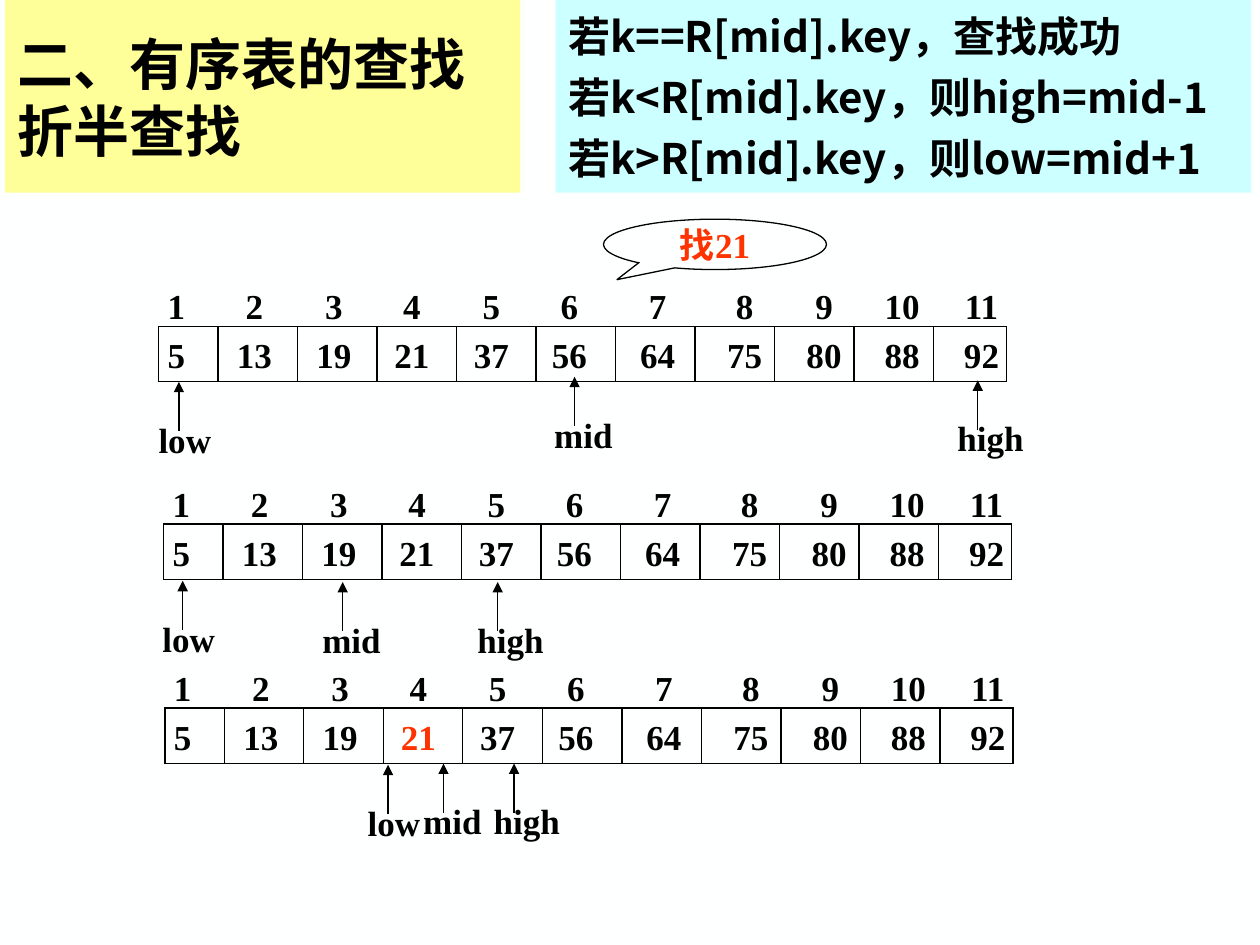
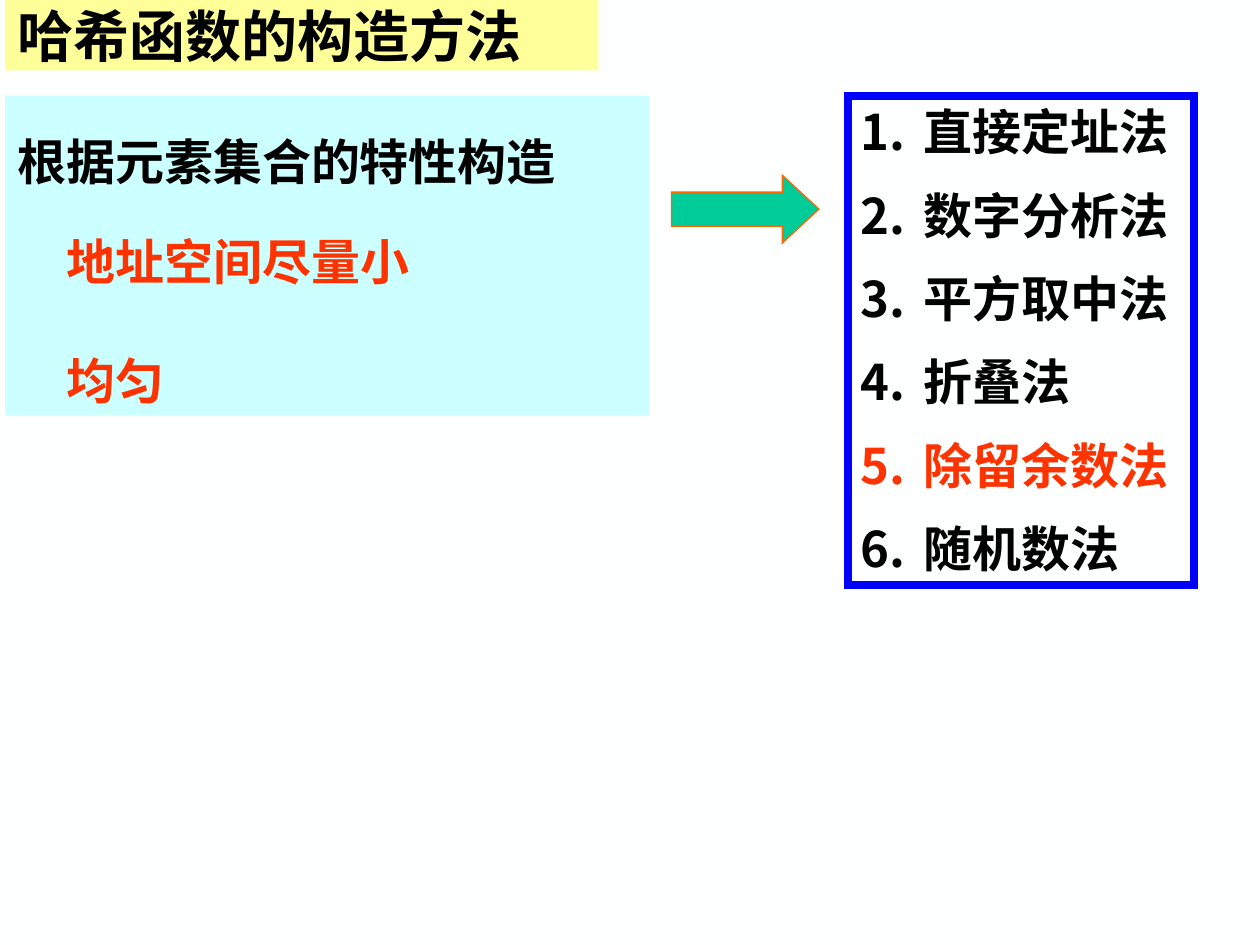
from lxml.etree import SubElement
from pptx import Presentation
from pptx.dml.color import RGBColor
from pptx.enum.shapes import MSO_CONNECTOR as Connector, MSO_SHAPE as Shape
from pptx.enum.text import MSO_ANCHOR as Anchor, PP_ALIGN as Align
from pptx.oxml.ns import qn
from pptx.util import Pt

PX = 9144  # 100 px to the inch

PAPER = RGBColor(0xFE, 0xFF, 0xFF)
BLACK = RGBColor(0x00, 0x00, 0x00)
RED = RGBColor(0xFF, 0x33, 0x00)
YELLOW = RGBColor(0xFF, 0xFF, 0x99)
CYAN = RGBColor(0xCC, 0xFF, 0xFF)
BLUE = RGBColor(0x00, 0x00, 0xFF)
GREEN = RGBColor(0x00, 0xCC, 0x99)
ORANGE = RGBColor(0xFF, 0x66, 0x00)

SANS = "Noto Sans CJK SC"
SERIF = "Times New Roman"

KEYS = [5, 13, 19, 21, 37, 56, 64, 75, 80, 88, 92]
COLUMN_CENTRES = [14, 76, 139, 201, 264, 326, 396, 465, 528, 590, 653]
COLUMN_WIDTH = 50
LABEL_WIDTHS = {"low": 61, "mid": 66, "high": 72}


def px(length):
    return round(length * PX)


def write(paragraph, text, size=20, font=SERIF, color=BLACK, before=0,
          spacing=None, indent=0, align=Align.LEFT, numbered=False):
    paragraph.alignment = align
    paragraph.space_before = Pt(before)
    if spacing:
        paragraph.line_spacing = spacing
    properties = paragraph._p.get_or_add_pPr()
    properties.set("marL", str(px(indent)))
    properties.set("indent", str(px(-indent if numbered else 0)))
    if numbered:
        bullet_color = SubElement(properties, qn("a:buClr"))
        SubElement(bullet_color, qn("a:srgbClr"), val=str(color))
        SubElement(properties, qn("a:buFont"), typeface=font)
        SubElement(properties, qn("a:buAutoNum"), type="arabicPeriod")
    span = paragraph.add_run()
    span.text = text
    span.font.name = font
    span.font.size = Pt(size)
    span.font.bold = True
    span.font.color.rgb = color
    SubElement(span._r.get_or_add_rPr(), qn("a:ea"), typeface=SANS)


class Board:
    def __init__(self):
        self.deck = Presentation()
        self.deck.slide_width, self.deck.slide_height = px(1000), px(750)

    def new_slide(self):
        self.page = self.deck.slides.add_slide(self.deck.slide_layouts[6])
        self.page.background.fill.solid()
        self.page.background.fill.fore_color.rgb = PAPER

    def shape(self, kind, left, top, width, height, fill=None, line=None,
              weight=0.75, adjust=()):
        box = self.page.shapes.add_shape(
            kind, px(left), px(top), px(width), px(height))
        box.shadow.inherit = False
        for number, value in enumerate(adjust):
            box.adjustments[number] = value
        for paint, color in ((box.fill, fill), (box.line.fill, line)):
            if color is None:
                paint.background()
            else:
                paint.solid()
                paint.fore_color.rgb = color
        if line is not None:
            box.line.width = Pt(weight)
            SubElement(box.line._get_or_add_ln(), qn("a:miter"), lim="800000")
        return box

    def text(self, box, *lines, anchor=Anchor.MIDDLE, wrap=True,
             inset=10, right=10, **style):
        """Each line is a text, or a text with its own format."""
        frame = box.text_frame
        frame.word_wrap = wrap
        frame.vertical_anchor = anchor
        frame.margin_left, frame.margin_right = px(inset), px(right)
        frame.margin_top = frame.margin_bottom = px(5)
        for number, line in enumerate(lines):
            text, own = (line, {}) if isinstance(line, str) else line
            paragraph = frame.add_paragraph() if number else frame.paragraphs[0]
            formats = {**style, **own}
            if not number:
                formats["before"] = 0
            write(paragraph, text, **formats)

    def panel(self, left, top, width, height, *lines, fill=None, line=None,
              weight=0.75, **style):
        box = self.shape(Shape.RECTANGLE, left, top, width, height,
                         fill=fill, line=line, weight=weight)
        self.text(box, *lines, **style)

    def title(self, width, height, *lines):
        self.panel(4, 0, width, height, *lines, fill=YELLOW, size=32, font=SANS)

    def label(self, left, top, width, text, **style):
        box = self.page.shapes.add_textbox(
            px(left), px(top), px(width), px(44))
        self.text(box, text, anchor=Anchor.TOP, right=0, **style)

    def line(self, x, start, end, arrow=False):
        """Draw a vertical line, with an arrowhead at its end if asked."""
        rule = self.page.shapes.add_connector(
            Connector.STRAIGHT, px(x), px(start), px(x), px(end))
        rule.line.color.rgb = BLACK
        rule.line.width = Pt(0.75)
        if arrow:
            SubElement(rule.line._get_or_add_ln(), qn("a:tailEnd"),
                       type="triangle")
        SubElement(rule._element.spPr, qn("a:effectLst"))

    def pointer(self, name, x, tip):
        self.line(x, tip + 39, tip, arrow=True)
        self.label(x - 26, tip + 24, LABEL_WIDTHS[name], name)

    def sorted_list(self, left, top, found=None):
        """Draw the keys in ruled cells with their positions above."""
        self.shape(Shape.RECTANGLE, left, top, 673, 44, line=BLACK)
        for number in range(len(KEYS) - 1):
            self.line(left + 47 + number * 568 / 9, top, top + 44)
        for index, (key, centre) in enumerate(zip(KEYS, COLUMN_CENTRES), 1):
            x = left + centre - COLUMN_WIDTH / 2
            self.label(x, top - 38, COLUMN_WIDTH, str(index),
                       inset=0, align=Align.CENTER)
            self.label(x, top + 1, COLUMN_WIDTH, str(key),
                       inset=0, align=Align.CENTER,
                       color=RED if key == found else BLACK)


def binary_search(board):
    board.new_slide()
    board.title(409, 153, "二、有序表的查找", "折半查找")
    board.panel(441, 0, 552, 153,
                "若k==R[mid].key，查找成功",
                "若k<R[mid].key，则high=mid-1",
                "若k>R[mid].key，则low=mid+1",
                fill=CYAN, size=24, font=SANS, before=6)
    callout = board.shape(Shape.OVAL_CALLOUT, 479, 174, 177, 40,
                          line=BLACK, adjust=(-0.44, 0.7))
    board.text(callout, "找21", wrap=False, color=RED, align=Align.CENTER)
    steps = [
        (126, 259, None, [("low", 142, 303), ("high", 776, 302), ("mid", 456, 299)]),
        (130, 416, None, [("low", 145, 461), ("high", 395, 462), ("mid", 272, 462)]),
        (131, 562, 21, [("low", 308, 607), ("high", 408, 606), ("mid", 352, 606)]),
    ]
    for left, top, found, pointers in steps:
        board.sorted_list(left, top, found)
        for pointer in pointers:
            board.pointer(*pointer)


def hash_functions(board):
    board.new_slide()
    board.title(471, 56, "哈希函数的构造方法")
    goal = {"font": SANS, "color": RED, "indent": 39}
    board.panel(4, 76, 511, 254,
                "根据元素集合的特性构造",
                ("地址空间尽量小", {**goal, "before": 7}),
                ("均匀", {**goal, "before": 17.5}),
                fill=CYAN, size=28, spacing=1.5, anchor=Anchor.TOP)
    board.panel(673, 76, 275, 388,
                "直接定址法", "数字分析法", "平方取中法", "折叠法",
                ("除留余数法", {"color": RED}), "随机数法",
                line=BLUE, weight=4.5, size=28, font=SANS, before=14,
                indent=50, numbered=True, anchor=Anchor.TOP)
    board.shape(Shape.RIGHT_ARROW, 533, 139, 117, 54,
                fill=GREEN, line=ORANGE, adjust=(0.5, 0.54))


def main():
    board = Board()
    binary_search(board)
    hash_functions(board)
    board.deck.save("out.pptx")


if __name__ == "__main__":
    main()
